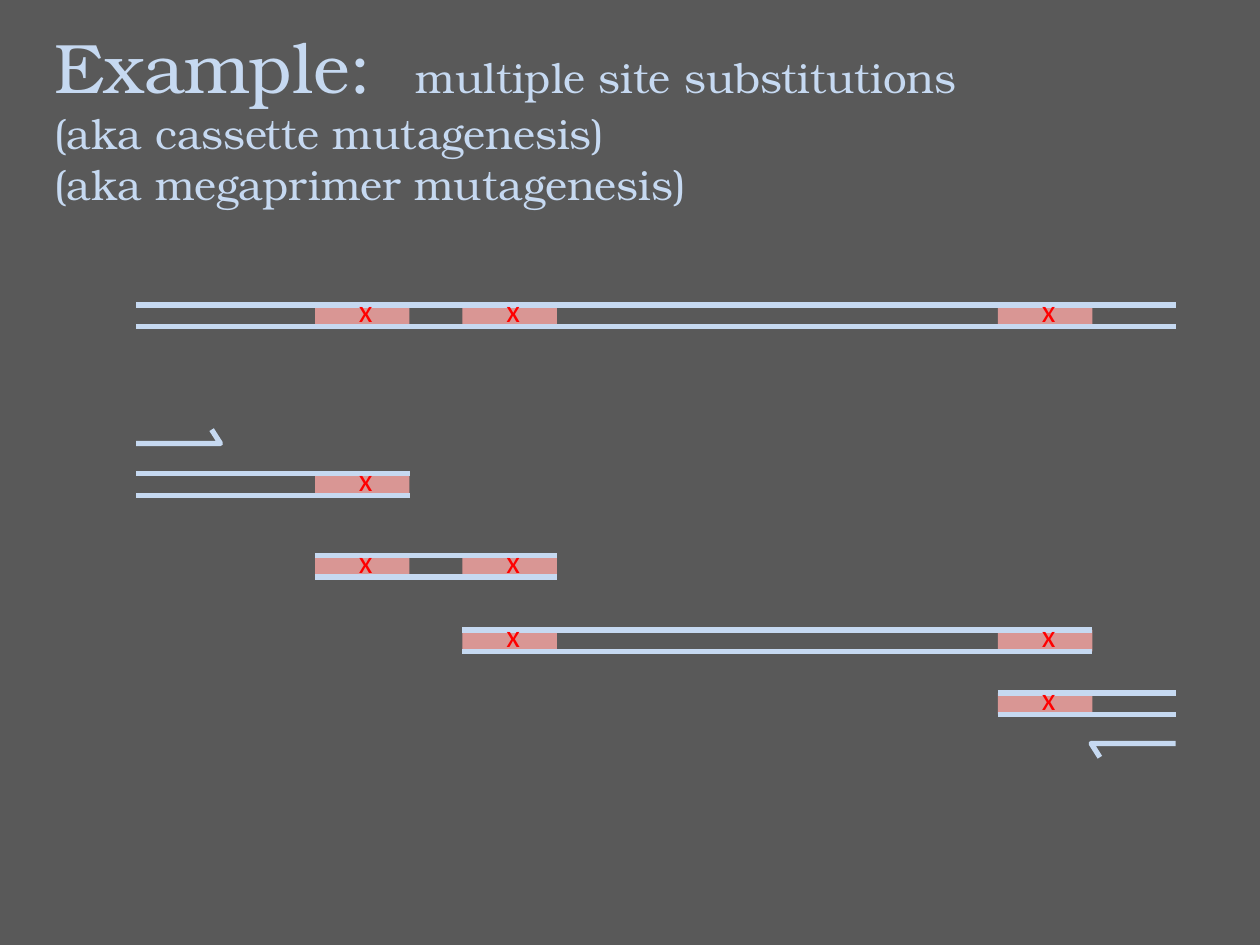
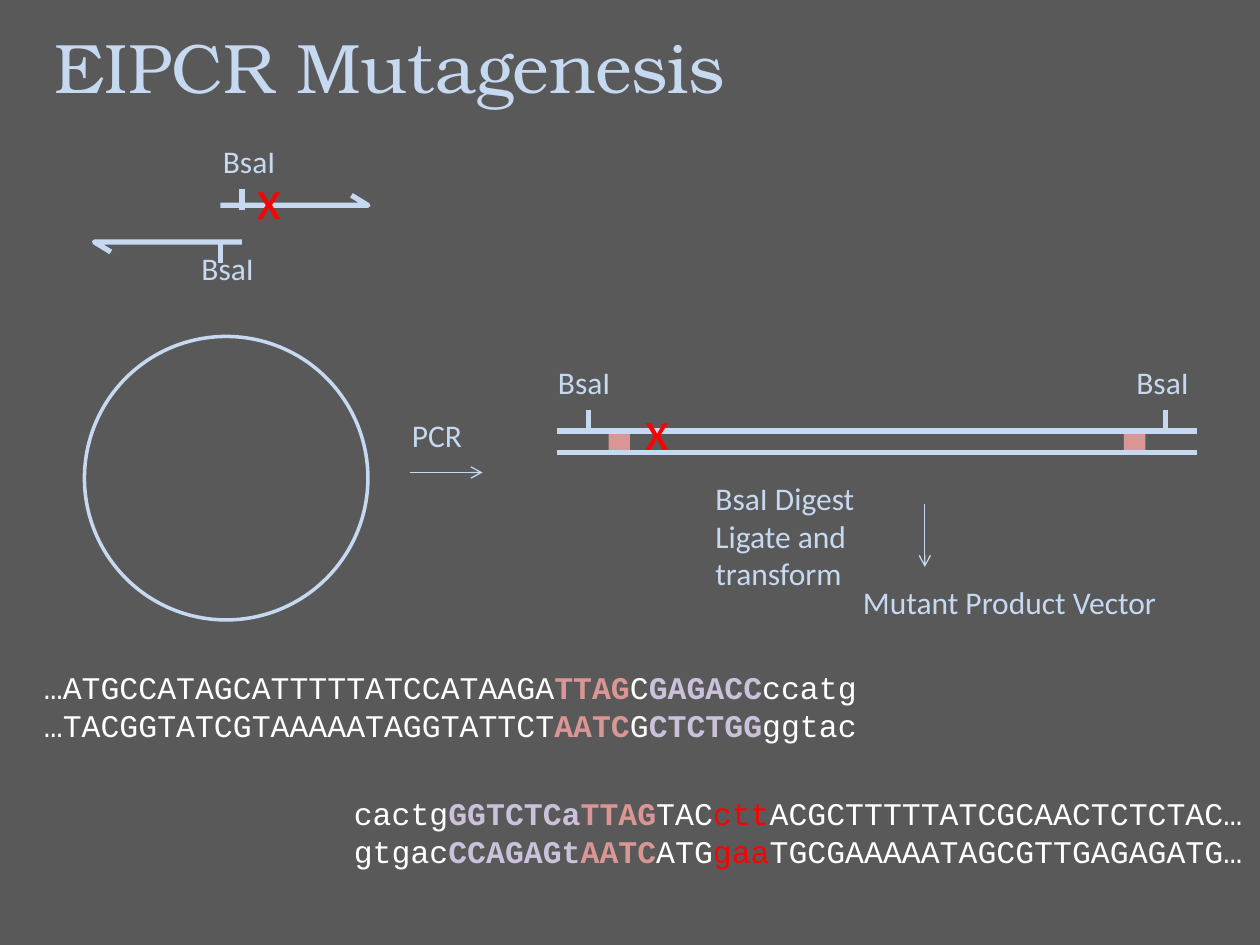
import pptx
import pptx.util
import pptx.dml.color
import pptx.enum.shapes
import pptx.enum.text
import pptx.oxml
import pptx.oxml.ns

Inches, Pt = pptx.util.Inches, pptx.util.Pt
Shape = pptx.enum.shapes.MSO_SHAPE

COLORS = {
    "background": "595959",
    "ink": "C6D9F1",
    "site": "D99694",
    "mutation": "FF0000",
    "enzyme": "CCC1DA",
    "sequence": "FFFFFF",
}
BODY, MONO, HEADING = "Calibri", "Courier New", "TeX Gyre Bonum"
STRAND_GAP = 0.17
SITE_WIDTH = 0.75
SITE_1, SITE_2, SITE_3 = 2.5, 3.67, 7.92


def rgb(name):
    return pptx.dml.color.RGBColor.from_string(COLORS[name])


def add_xml(parent, tag, **attributes):
    child = pptx.oxml.parse_xml(f"<a:{tag} {pptx.oxml.ns.nsdecls('a')}/>")
    for key, value in attributes.items():
        child.set(key, str(value))
    parent.append(child)
    return child


def write_text(tf, paragraphs, font=BODY, size=18, color="ink", wrap=True):
    """Fill a frame; each paragraph is a string or a list of (text, run overrides)."""
    tf.word_wrap = wrap
    tf.auto_size = pptx.enum.text.MSO_AUTO_SIZE.NONE
    tf.vertical_anchor = pptx.enum.text.MSO_ANCHOR.TOP
    for i, runs in enumerate(paragraphs):
        p = tf.paragraphs[0] if i == 0 else tf.add_paragraph()
        p.alignment = pptx.enum.text.PP_ALIGN.LEFT
        for text, changes in [(runs, {})] if isinstance(runs, str) else runs:
            r = p.add_run()
            r.text = text
            r.font.name = font
            r.font.size = Pt(changes.get("size", size))
            r.font.bold = changes.get("bold", False)
            r.font.color.rgb = rgb(changes.get("color", color))


def add_text(slide, left, top, width, height, paragraphs, **style):
    box = slide.shapes.add_textbox(*map(Inches, (left, top, width, height)))
    write_text(box.text_frame, paragraphs, **style)


def add_line(slide, x1, y1, x2, y2, width=3, arrow=False):
    line = slide.shapes.add_connector(
        pptx.enum.shapes.MSO_CONNECTOR.STRAIGHT, *map(Inches, (x1, y1, x2, y2)))
    line.line.color.rgb = rgb("ink")
    line.line.width = Pt(width)
    if arrow:
        add_xml(line.line._get_or_add_ln(), "tailEnd", type="arrow")
    add_xml(line._element.spPr, "effectLst")


def add_site(slide, left, top, width):
    sp = slide.shapes.add_shape(
        Shape.RECTANGLE, *map(Inches, (left, top, width, STRAND_GAP)))
    sp.shadow.inherit = False
    sp.fill.solid()
    sp.fill.fore_color.rgb = rgb("site")
    sp.line.fill.background()


def add_duplex(slide, left, top, right, sites, site_width=SITE_WIDTH):
    """Draw two parallel strands with coloured sites between them."""
    for site in sites:
        add_site(slide, site, top, site_width)
    for y in (top, top + STRAND_GAP):
        add_line(slide, left, y, right, y)


def add_mutated_duplex(slide, left, top, right, sites):
    add_duplex(slide, left, top, right, sites)
    for site in sites:
        add_text(slide, site + 0.25, top - 0.16, 0.25, 0.4, ["x"], color="mutation")


def add_primer(slide, x, y, length, barb, direction=1):
    """Draw a half arrow from (x, y); direction -1 turns it by half a circle."""
    tip = x + direction * length
    back, rise = barb
    builder = slide.shapes.build_freeform(Inches(x), Inches(y))
    builder.add_line_segments(
        [(Inches(tip), Inches(y)),
         (Inches(tip - direction * back), Inches(y - direction * rise))], close=False)
    sp = builder.convert_to_shape()
    sp.shadow.inherit = False
    sp.fill.background()
    sp.line.color.rgb = rgb("ink")
    sp.line.width = Pt(3)


def add_titled_slide(prs, paragraphs, height):
    slide = prs.slides.add_slide(prs.slide_layouts[5])
    title = slide.shapes.title
    title.left, title.top = Inches(0.33), Inches(0.14)
    title.width, title.height = Inches(9.42), Inches(height)
    write_text(title.text_frame, paragraphs, font=HEADING, size=40)
    return slide


def add_label(slide, left, top, text):
    add_text(slide, left, top, 0.75, 0.4, [text])


def add_primer_pair(slide, left, top):
    """Draw the overlapping primers with their cut sites."""
    barb = (0.13, 0.08)
    add_primer(slide, left + 1, top + 0.55, 1.17, barb)
    add_text(slide, left + 1.19, top + 0.17, 0.4, 0.64, ["x"], size=32, color="mutation")
    add_primer(slide, left + 1.17, top + 0.84, 1.17, barb, direction=-1)
    for x, y in ((1, 0.84), (1.17, 0.42)):
        add_line(slide, left + x, top + y, left + x, top + y + STRAND_GAP)
    add_label(slide, left + 0.92, top, "BsaI")
    add_label(slide, left + 0.75, top + 0.85, "BsaI")


def add_template_circle(slide, left, top, size):
    sp = slide.shapes.add_shape(Shape.OVAL, *map(Inches, (left, top, size, size)))
    sp.shadow.inherit = False
    sp.fill.background()
    sp.line.color.rgb = rgb("ink")
    sp.line.width = Pt(2)


def add_pcr_product(slide, left, top, width):
    right = left + width
    add_duplex(slide, left, top, right, (left + 0.41, right - 0.58), site_width=0.17)
    for cut, label in ((left + 0.25, left - 0.09), (right - 0.25, right - 0.58)):
        add_line(slide, cut, top - STRAND_GAP, cut, top)
        add_label(slide, label, top - 0.59, "BsaI")
    add_text(slide, left + 0.6, top - 0.34, 0.4, 0.64, ["x"], size=32, color="mutation")


def add_steps(slide, left, top):
    """Draw the reaction steps, from PCR to the finished vector."""
    add_label(slide, left, top, "PCR")
    add_line(slide, left + 0.08, top + 0.5, left + 0.66, top + 0.5, 0.75, arrow=True)
    add_text(slide, left + 2.41, top + 0.5, 1.83, 1.01,
             ["BsaI Digest Ligate and transform"])
    add_line(slide, left + 4.17, top + 0.75, left + 4.17, top + 1.25, 0.75, arrow=True)
    add_text(slide, left + 3.58, top + 1.33, 2.55, 0.4,
             ["Mutant Product Vector"], wrap=False)


def add_sequence(slide, left, top, width, strands, styles):
    """Write paired strands whose segments share one list of styles."""
    add_text(slide, left, top, width, 0.71,
             [list(zip(strand, styles)) for strand in strands],
             font=MONO, color="sequence", wrap=False)


def build_substitutions_slide(prs):
    small = {"size": 24}
    slide = add_titled_slide(prs, [
        [("Example:\t", {}), ("multiple site substitutions", small)],
        [("(aka cassette mutagenesis)", small)],
        [("(aka megaprimer mutagenesis)", small)],
    ], height=1.58)
    first = slide.shapes.title.text_frame.paragraphs[0]
    tabs = add_xml(first._p.get_or_add_pPr(), "tabLst")
    add_xml(tabs, "tab", pos=Inches(2.87), algn="l")

    start, end = 1.08, 9.33
    for left, top, right, sites in (
        (start, 2.42, end, (SITE_1, SITE_2, SITE_3)),
        (start, 3.76, SITE_1 + SITE_WIDTH, (SITE_1,)),
        (SITE_1, 4.41, SITE_2 + SITE_WIDTH, (SITE_1, SITE_2)),
        (SITE_2, 5, SITE_3 + SITE_WIDTH, (SITE_2, SITE_3)),
        (SITE_3, 5.5, end, (SITE_3,)),
    ):
        add_mutated_duplex(slide, left, top, right, sites)
    barb = (0.07, 0.11)
    add_primer(slide, start, 3.52, 0.67, barb)
    add_primer(slide, end, 5.9, 0.67, barb, direction=-1)


def build_eipcr_slide(prs):
    slide = add_titled_slide(prs, ["EIPCR Mutagenesis"], height=0.77)
    add_primer_pair(slide, 0.75, 1.08)
    add_template_circle(slide, 0.67, 2.67, 2.25)
    add_pcr_product(slide, 4.42, 3.42, 5.08)
    add_steps(slide, 3.17, 3.25)

    plain = {}
    overhang = {"color": "site", "bold": True}
    enzyme = {"color": "enzyme", "bold": True}
    mutation = {"color": "mutation"}
    add_sequence(slide, 0.25, 5.25, 8.33, [
        ("…ATGCCATAGCATTTTTATCCATAAGA", "TTAG", "C", "GAGACC", "ccatg"),
        ("…TACGGTATCGTAAAAATAGGTATTCT", "AATC", "G", "CTCTGG", "ggtac"),
    ], (plain, overhang, plain, enzyme, plain))
    add_sequence(slide, 2.71, 6.25, 7.29, [
        ("cactg", "GGTCTCa", "TTAG", "TAC", "ctt", "ACGCTTTTTATCGCAACTCTCTAC…"),
        ("gtgac", "CCAGAGt", "AATC", "ATG", "gaa", "TGCGAAAAATAGCGTTGAGAGATG…"),
    ], (plain, enzyme, overhang, plain, mutation, plain))


def main():
    prs = pptx.Presentation()
    prs.slide_width, prs.slide_height = Inches(10), Inches(7.5)
    fill = prs.slide_master.background.fill
    fill.solid()
    fill.fore_color.rgb = rgb("background")
    build_substitutions_slide(prs)
    build_eipcr_slide(prs)
    prs.save("out.pptx")


if __name__ == "__main__":
    main()
